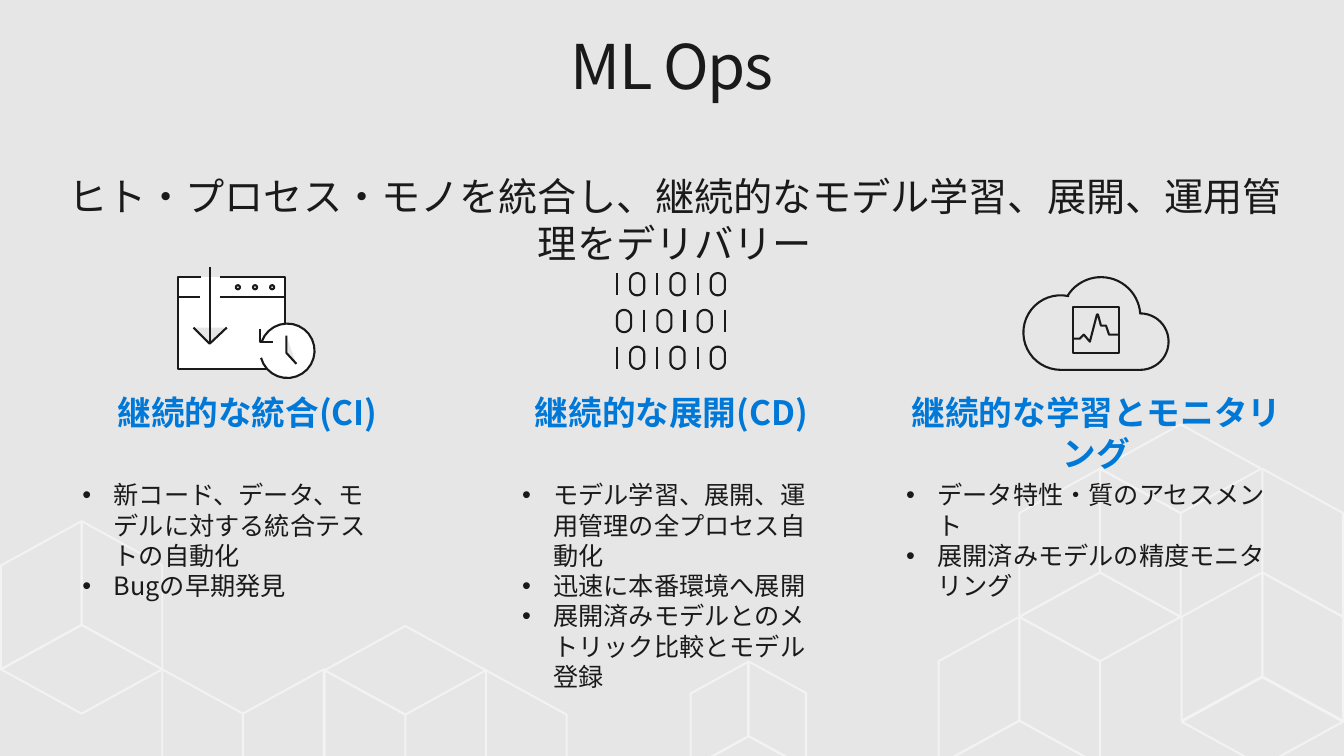
from dataclasses import dataclass
from math import cos, radians, sin

from lxml.etree import SubElement
from pptx import Presentation
from pptx.dml.color import RGBColor
from pptx.enum.text import MSO_ANCHOR as Anchor, MSO_AUTO_SIZE as AutoSize, PP_ALIGN as Align
from pptx.oxml.ns import qn
from pptx.slide import Slide
from pptx.text.text import _Paragraph as Paragraph
from pptx.util import Inches, Pt

FONT = "Noto Sans CJK JP"
INK, BLUE, WHITE, GREY, PALE = "1A1A1A", "0078D7", "FFFFFF", "E6E6E6", "F3F3F3"

Point = tuple[float, float]


@dataclass
class Contour:
    points: list[Point]
    closed: bool = False


@dataclass
class Face:
    kind: str
    left: float
    top: float
    scale: float = 1.0


@dataclass
class Label:
    lines: list[str]
    left: float
    top: float
    width: float
    height: float
    size: float
    color: str = INK
    bold: bool = False
    bullets: bool = False
    grow: bool = False
    inset: Point = (0, 0)
    anchor: Anchor = Anchor.TOP
    after: float = 0
    line_spacing: float = 1.0
    tracking: float = 0


# Cube faces, as (x, y) steps: width and slope of an edge, height of a side
EDGE, SLOPE, SIDE = 0.8, 0.44, 1.03
FACE_OUTLINES = {
    "fall": Contour([(0, 0), (EDGE, SLOPE), (EDGE, SLOPE + SIDE), (0, SIDE)], True),
    "rise": Contour([(0, 0), (EDGE, -SLOPE), (EDGE, SIDE - SLOPE), (0, SIDE)], True),
    "roof": Contour([(0, 0), (EDGE, -SLOPE), (2 * EDGE, 0), (EDGE, SLOPE)], True),
    "ridge": Contour([(0, 0), (EDGE, -SLOPE), (2 * EDGE, 0)]),
}
FACES = [
    Face("rise", 9.31, 6.56), Face("fall", 10.11, 6.12), Face("ridge", 9.31, 7.59),
    Face("rise", 10.11, 5.09), Face("fall", 10.91, 4.65), Face("roof", 10.11, 6.12),
    Face("roof", 10.91, 4.65), Face("rise", 11.72, 6.12), Face("fall", 12.52, 5.68),
    Face("roof", 11.72, 7.16), Face("fall", 12.52, 4.65),
    Face("rise", 2.41, 7.08), Face("fall", 1.61, 6.64), Face("fall", 0.81, 5.17),
    Face("rise", 0.01, 5.61), Face("roof", 0.01, 6.64),
    Face("rise", 6.85, 6.88, 0.72), Face("fall", 7.42, 6.56, 0.72),
    Face("ridge", 6.85, 7.62, 0.72),
    Face("fall", 3.22, 6.65), Face("roof", 3.22, 6.65), Face("fall", 4.82, 6.65),
]

LABELS = [
    Label(["ML Ops"], 0.29, 0.2, 12.75, 0.98, 44, inset=(0.16, 0.1),
          anchor=Anchor.MIDDLE, line_spacing=0.9, tracking=-1),
    Label(["ヒト・プロセス・モノを統合し、継続的なモデル学習、展開、運用管理をデリバリー"],
          0.67, 1.71, 12.05, 0.47, 28, grow=True),
    Label(["継続的な統合(CI)"], 0.47, 3.89, 3.97, 0.3, 24, BLUE, True, after=7),
    Label(["継続的な展開(CD)"], 4.68, 3.89, 3.96, 0.32, 24, BLUE, True, after=7),
    Label(["継続的な学習とモニタリング"], 8.89, 3.89, 3.97, 0.4, 24, BLUE, True,
          grow=True, after=7),
    Label(["新コード、データ、モデルに対する統合テストの自動化", "Bugの早期発見"],
          0.72, 4.71, 3.16, 1.59, 18, bullets=True, grow=True, inset=(0.1, 0.05)),
    Label(["モデル学習、展開、運用管理の全プロセス自動化", "迅速に本番環境へ展開",
           "展開済みモデルとのメトリック比較とモデル登録"],
          5.08, 4.71, 3.16, 1.59, 18, bullets=True, grow=True, inset=(0.1, 0.05)),
    Label(["データ特性・質のアセスメント", "展開済みモデルの精度モニタリング"],
          8.89, 4.71, 3.97, 0.7, 18, bullets=True, grow=True, inset=(0.1, 0.05)),
]


def rgb(color: str) -> RGBColor:
    return RGBColor.from_string(color)


def arc(x: float, y: float, radius: float, start: float, end: float) -> list[Point]:
    """Points along a circle, with angles in degrees clockwise from the right."""
    steps = 24
    angles = [radians(start + (end - start) * i / steps) for i in range(steps + 1)]
    return [(x + radius * cos(a), y + radius * sin(a)) for a in angles]


def draw_outline(page: Slide, contours: list[Contour], color: str, weight: float,
                 fill: str | None = None) -> None:
    builder = None
    for contour in contours:
        first, *rest = [(Inches(x), Inches(y)) for x, y in contour.points]
        if builder is None:
            builder = page.shapes.build_freeform(*first)
        else:
            builder.move_to(*first)
        builder.add_line_segments(rest, close=contour.closed)
    shape = builder.convert_to_shape()
    shape.shadow.inherit = False
    shape.line.color.rgb = rgb(color)
    shape.line.width = Pt(weight)
    if fill:
        shape.fill.solid()
        shape.fill.fore_color.rgb = rgb(fill)
    else:
        shape.fill.background()


def draw_face(page: Slide, face: Face) -> None:
    outline = FACE_OUTLINES[face.kind]
    points = [(face.left + x * face.scale, face.top + y * face.scale)
              for x, y in outline.points]
    draw_outline(page, [Contour(points, outline.closed)], PALE, 1.38)


def draw_window_icon(page: Slide) -> None:
    dots = [Contour(arc(x, 2.85, 0.02, 0, 360), True) for x in (2.7, 2.53, 2.36)]
    window = [
        Contour([(2.18, 2.75), (2.83, 2.75), (2.83, 3.66), (1.77, 3.66), (1.77, 2.75),
                 (1.99, 2.75)]),
        Contour([(2.18, 2.95), (2.83, 2.95)]),
        Contour([(1.77, 2.95), (1.98, 2.95)]),
        *dots,
        Contour([(1.92, 3.25), (2.08, 3.41), (2.25, 3.25)]),
        Contour([(2.08, 2.65), (2.08, 3.41)]),
    ]
    clock = [
        Contour([(2.94, 3.61), (2.84, 3.5), (2.84, 3.33)]),
        Contour([(2.58, 3.26), (2.58, 3.39), (2.71, 3.39)]),
        Contour(arc(2.85, 3.48, 0.27, 165, -160)),
    ]
    for part in (window, clock):
        draw_outline(page, part, INK, 1.5, WHITE)


def draw_binary_icon(page: Slide) -> None:
    height, radius, gap = 0.22, 0.07, 0.13
    digits = []
    for row, bits in enumerate(("101010", "010101", "101010")):
        x, top = 6.12, 2.71 + row * 0.365
        for bit in bits:
            if bit == "1":
                digits.append(Contour([(x, top), (x, top + height)]))
            else:
                middle = x + radius
                ring = (arc(middle, top + radius, radius, 180, 360)
                        + arc(middle, top + height - radius, radius, 0, 180))
                digits.append(Contour(ring, True))
                x += 2 * radius
            x += gap
    draw_outline(page, digits, INK, 1.5)


def draw_cloud_icon(page: Slide) -> None:
    cloud = (arc(10.52, 3.3, 0.37, 90, 282) + arc(10.92, 3.14, 0.39, 211, 356)
             + arc(11.31, 3.39, 0.28, -90, 90))
    draw_outline(page, [Contour(cloud, True)], INK, 1.5)
    frame = Contour([(10.64, 3.5), (10.64, 3.05), (11.1, 3.05), (11.1, 3.5)], True)
    graph = Contour([(11.1, 3.32), (11, 3.32), (10.97, 3.23), (10.92, 3.23), (10.89, 3.12),
                     (10.88, 3.12), (10.81, 3.39), (10.75, 3.32), (10.71, 3.36),
                     (10.64, 3.36)])
    draw_outline(page, [frame, graph], INK, 1.5)


def add_bullet(para: Paragraph) -> None:
    properties = para._p.get_or_add_pPr()
    properties.set("marL", str(Inches(0.31)))
    properties.set("indent", str(Inches(-0.31)))
    SubElement(properties, qn("a:buFont")).set("typeface", "Arial")
    SubElement(properties, qn("a:buChar")).set("char", "•")


def draw_label(page: Slide, label: Label) -> None:
    box = page.shapes.add_textbox(Inches(label.left), Inches(label.top),
                                  Inches(label.width), Inches(label.height))
    frame = box.text_frame
    frame.text = "\n".join(label.lines)
    frame.word_wrap = True
    frame.auto_size = AutoSize.SHAPE_TO_FIT_TEXT if label.grow else AutoSize.NONE
    frame.vertical_anchor = label.anchor
    frame.margin_left = frame.margin_right = Inches(label.inset[0])
    frame.margin_top = frame.margin_bottom = Inches(label.inset[1])
    for para in frame.paragraphs:
        para.alignment = Align.LEFT if label.bullets else Align.CENTER
        para.line_spacing = label.line_spacing
        para.space_after = Pt(label.after)
        if label.bullets:
            add_bullet(para)
        for span in para.runs:
            span.font.size = Pt(label.size)
            span.font.bold = label.bold
            span.font.color.rgb = rgb(label.color)
            span.font.name = FONT
            properties = span._r.get_or_add_rPr()
            SubElement(properties, qn("a:ea")).set("typeface", FONT)
            if label.tracking:
                properties.set("spc", str(round(label.tracking * 100)))


def main() -> None:
    deck = Presentation()
    deck.slide_width, deck.slide_height = Inches(13.33), Inches(7.5)
    page = deck.slides.add_slide(deck.slide_layouts[6])
    page.background.fill.solid()
    page.background.fill.fore_color.rgb = rgb(GREY)
    for face in FACES:
        draw_face(page, face)
    for draw_icon in (draw_window_icon, draw_binary_icon, draw_cloud_icon):
        draw_icon(page)
    for label in LABELS:
        draw_label(page, label)
    deck.save("out.pptx")


if __name__ == "__main__":
    main()
